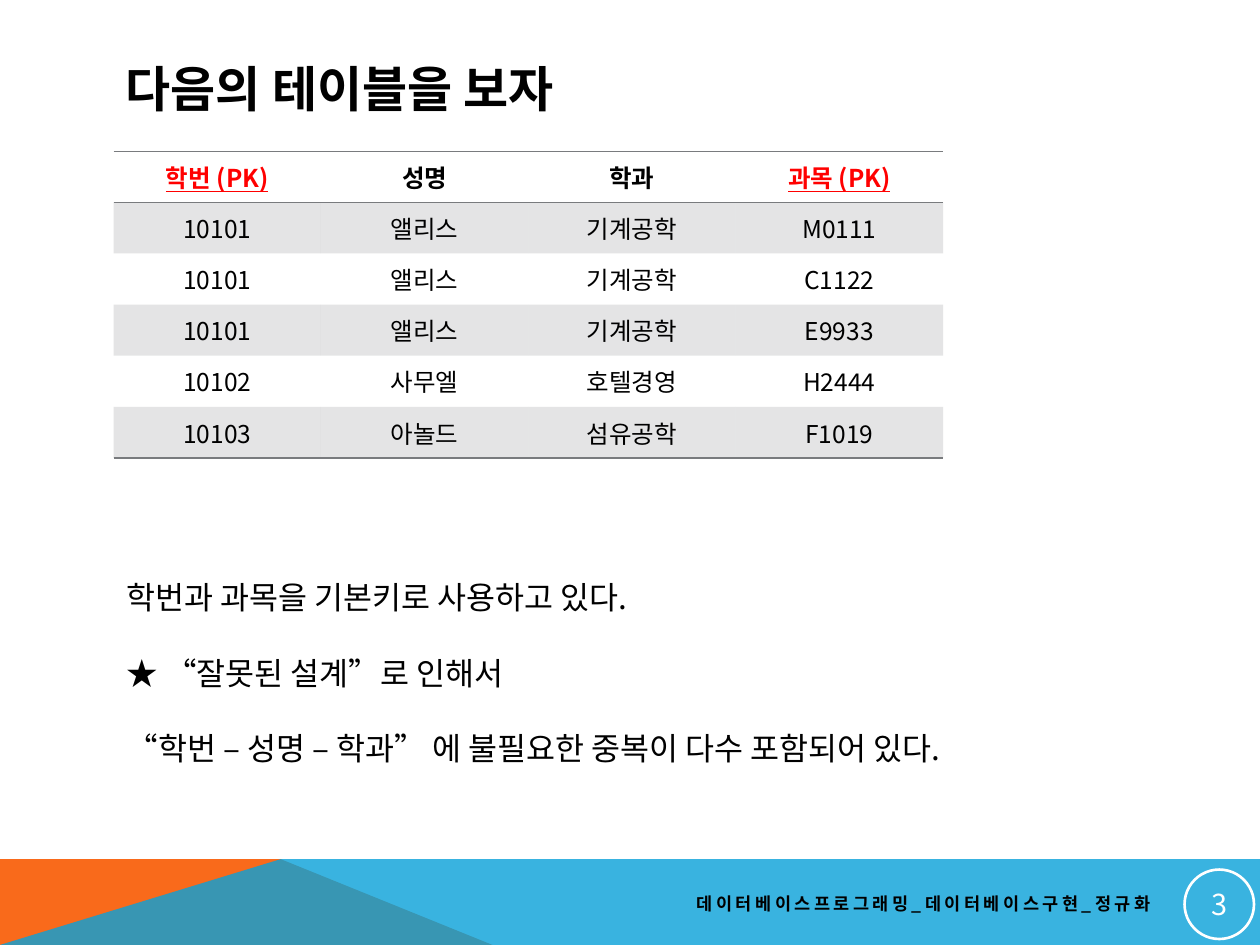
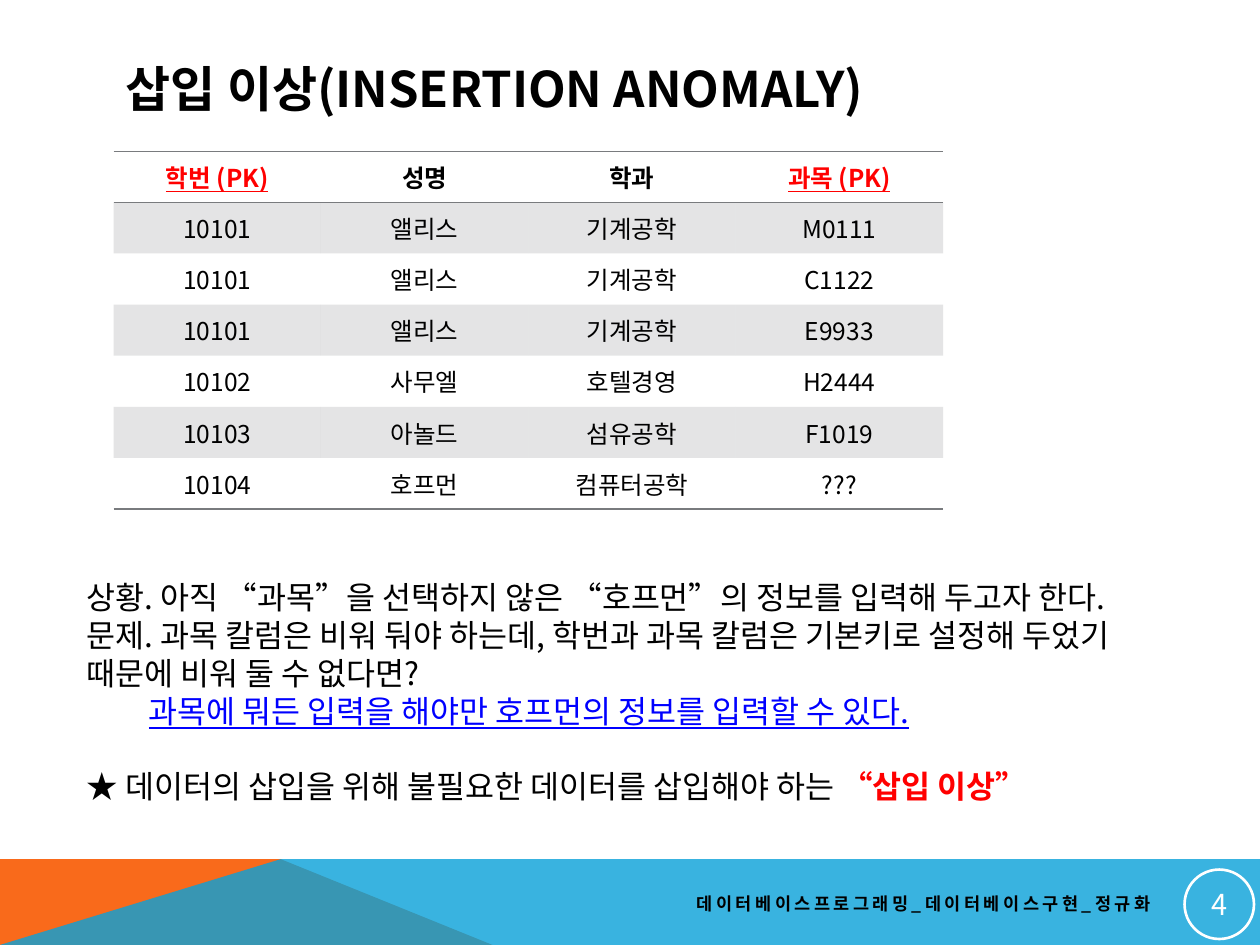
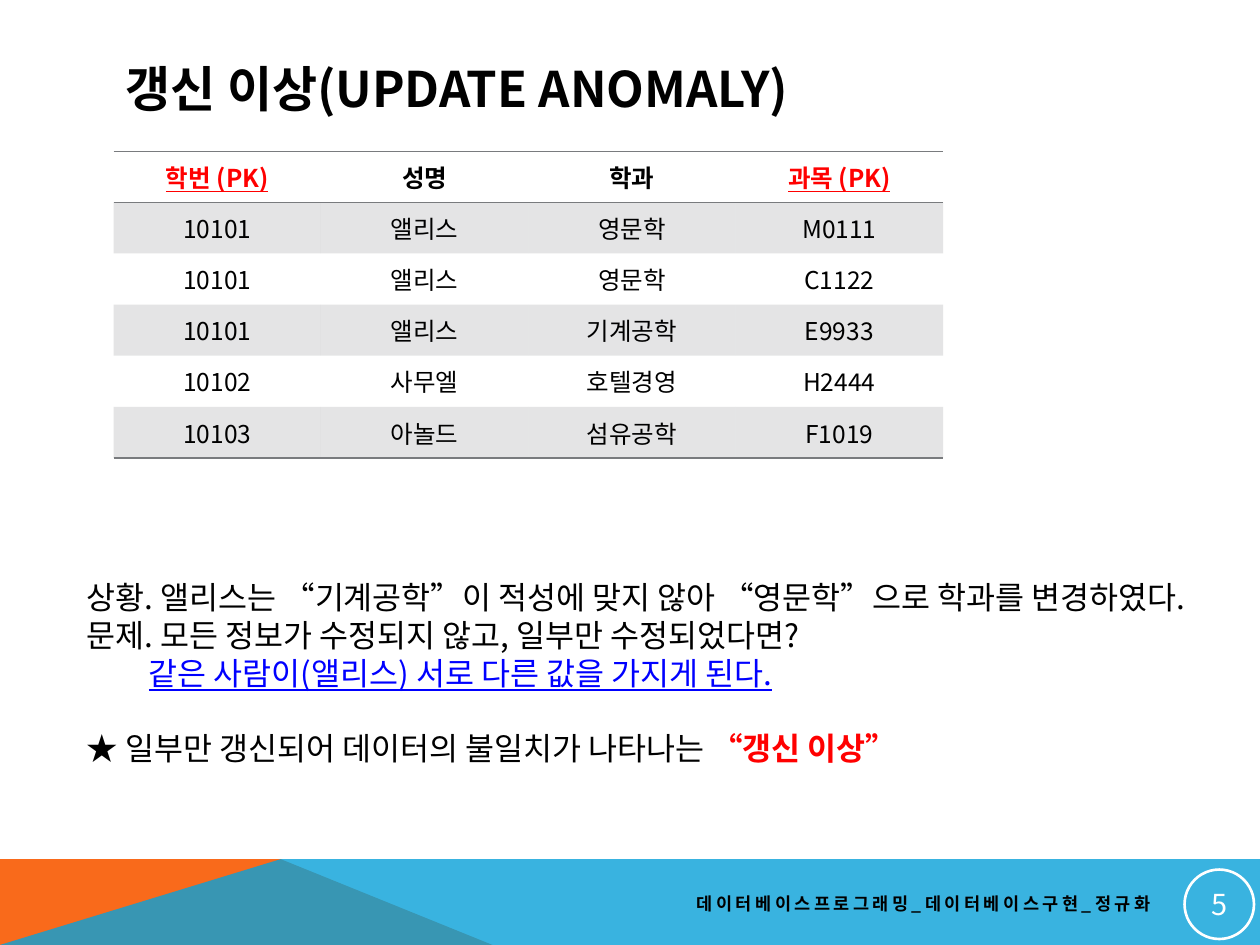
from dataclasses import dataclass
from lxml.etree import SubElement
from pptx import Presentation
from pptx.dml.color import RGBColor
from pptx.enum.shapes import MSO_SHAPE
from pptx.enum.text import MSO_ANCHOR, PP_ALIGN
from pptx.oxml import parse_xml
from pptx.oxml.ns import nsdecls, qn
from pptx.util import Cm, Pt


@dataclass(frozen=True)
class Theme:
    """Colours, font and type sizes of the deck."""
    font: str = "Noto Sans CJK KR"
    ink: str = "000000"
    red: str = "FF0000"
    blue: str = "0000FF"
    white: str = "FFFFFF"
    gray: str = "797B7E"
    orange: str = "F96A1B"
    sky: str = "08A1D9"
    title: float = 28
    body: float = 18
    cell: float = 14
    foot: float = 10
    page: float = 16.5
    pitch: float = 21.6


look = Theme()


def write(para, text, size, color=look.ink, bold=False, under=False):
    """Add one styled run to a paragraph and return its properties."""
    run = para.add_run()
    run.text = text
    font = run.font
    font.size = Pt(size)
    font.bold = bold
    font.underline = under
    font.color.rgb = RGBColor.from_string(color)
    font.name = look.font
    props = run._r.get_or_add_rPr()
    SubElement(props, qn("a:ea"), typeface=look.font)
    return props


def tint(fill, owner, color, alpha=100):
    """Fill solid; alpha is the opacity in percent."""
    fill.solid()
    fill.fore_color.rgb = RGBColor.from_string(color)
    if alpha < 100:
        tone = owner.find(qn("a:solidFill"))[0]
        SubElement(tone, qn("a:alpha"), val=str(alpha * 1000))


# Content: a line is (blank lines before, indent in cm, runs);
# a run is (text, colour, bold, underline).
plain = (look.ink, False, False)
alert = (look.red, True, False)
result = (look.blue, False, True)

head = ["학번 (PK)", "성명", "학과", "과목 (PK)"]
rows = [
    ["10101", "앨리스", "기계공학", "M0111"],
    ["10101", "앨리스", "기계공학", "C1122"],
    ["10101", "앨리스", "기계공학", "E9933"],
    ["10102", "사무엘", "호텔경영", "H2444"],
    ["10103", "아놀드", "섬유공학", "F1019"],
]
extra = ["10104", "호프먼", "컴퓨터공학", "???"]
moved = [[num, name, "영문학", code] for num, name, _, code in rows[:2]]

pages = [
    ("다음의 테이블을 보자", rows, 2.31, 18.19, [
        (0, 0, [("학번과 과목을 기본키로 사용하고 있다.", *plain)]),
        (1, 0, [("★ “잘못된 설계”로 인해서", *plain)]),
        (1, 0, [("“학번 – 성명 – 학과” 에 불필요한 중복이 다수 포함되어 있다.", *plain)]),
    ]),
    ("삽입 이상(INSERTION ANOMALY)", rows + [extra], 1.5, 23.8, [
        (0, 0, [("상황. 아직 “과목”을 선택하지 않은 “호프먼”의 정보를 입력해 두고자 한다.", *plain)]),
        (0, 0, [("문제. 과목 칼럼은 비워 둬야 하는데, 학번과 과목 칼럼은 기본키로 설정해 두었기", *plain)]),
        (0, 0, [("때문에 비워 둘 수 없다면?", *plain)]),
        (0, 1.25, [("과목에 뭐든 입력을 해야만 호프먼의 정보를 입력할 수 있다.", *result)]),
        (1, 0, [("★ 데이터의 삽입을 위해 불필요한 데이터를 삽입해야 하는 ", *plain),
                ("“삽입 이상”", *alert)]),
    ]),
    ("갱신 이상(UPDATE ANOMALY)", moved + rows[2:], 1.5, 23.8, [
        (0, 0, [("상황. 앨리스는 “기계공학”이 적성에 맞지 않아 “영문학”으로 학과를 변경하였다.", *plain)]),
        (0, 0, [("문제. 모든 정보가 수정되지 않고, 일부만 수정되었다면?", *plain)]),
        (0, 1.25, [("같은 사람이(앨리스) 서로 다른 값을 가지게 된다.", *result)]),
        (1, 0, [("★ 일부만 갱신되어 데이터의 불일치가 나타나는 ", *plain),
                ("“갱신 이상”", *alert)]),
    ]),
]

wide, high, top = 25.4, 19.05, 17.32
peak, foot = 5.66, 9.93
bands = [
    (look.orange, 100, [(0, high), (0, top), (peak, top), (foot, high)]),
    (look.sky, 80, [(0, high), (peak, top), (wide, top), (wide, high)]),
]

deck = Presentation()
deck.slide_width, deck.slide_height = Cm(wide), Cm(high)

for number, (title, data, left, width, lines) in enumerate(pages, 3):
    shapes = deck.slides.add_slide(deck.slide_layouts[6]).shapes

    # Bottom bands
    for color, alpha, points in bands:
        spots = [(Cm(x), Cm(y)) for x, y in points]
        pen = shapes.build_freeform(*spots[0])
        pen.add_line_segments(spots[1:], close=True)
        band = pen.convert_to_shape()
        band.shadow.inherit = False
        band.line.fill.background()
        tint(band.fill, band.element.spPr, color, alpha)

    # Title
    frame = shapes.add_textbox(Cm(2.29), Cm(1.02), Cm(20.88), Cm(1.52)).text_frame
    frame.word_wrap = True
    frame.vertical_anchor = MSO_ANCHOR.MIDDLE
    write(frame.paragraphs[0], title, look.title, bold=True)

    # Student table
    grid = [head] + data
    table = shapes.add_table(len(grid), len(head), Cm(2.29), Cm(3.05),
                             Cm(16.72), Cm(1.03 * len(grid))).table
    table.first_row = table.horz_banding = False
    style = table._tbl.tblPr.find(qn("a:tableStyleId"))
    style.text = "{2D5ABB26-0587-4C30-8999-92F81FD0307C}"
    for r, row in enumerate(grid):
        sides = {0: ["lnT", "lnB"], len(grid) - 1: ["lnB"]}.get(r, [])
        for c, text in enumerate(row):
            cell = table.cell(r, c)
            cell.vertical_anchor = MSO_ANCHOR.MIDDLE
            para = cell.text_frame.paragraphs[0]
            para.alignment = PP_ALIGN.CENTER
            key = r == 0 and "(PK)" in text
            write(para, text, look.cell, look.red if key else look.ink, r == 0, key)
            props = cell._tc.get_or_add_tcPr()
            if r % 2:
                tint(cell.fill, props, look.gray, 20)
            else:
                cell.fill.background()
            for spot, side in enumerate(sides):
                props.insert(spot, parse_xml(
                    f'<a:{side} {nsdecls("a")} w="{Pt(1)}"><a:solidFill>'
                    f'<a:srgbClr val="{look.gray}"/></a:solidFill></a:{side}>'))

    # Footer and page number
    frame = shapes.add_textbox(Cm(10.31), Cm(17.83), Cm(13.13), Cm(0.76)).text_frame
    frame.word_wrap = True
    frame.vertical_anchor = MSO_ANCHOR.MIDDLE
    para = frame.paragraphs[0]
    para.alignment = PP_ALIGN.RIGHT
    props = write(para, "데이터베이스프로그래밍_데이터베이스구현_정규화", look.foot, bold=True)
    props.set("spc", "200")

    ring = shapes.add_shape(MSO_SHAPE.OVAL, Cm(23.88), Cm(17.53), Cm(1.4), Cm(1.4))
    ring.shadow.inherit = False
    ring.fill.background()
    ring.line.color.rgb = RGBColor.from_string(look.white)
    ring.line.width = Pt(1.5)
    frame = ring.text_frame
    frame.margin_left = frame.margin_right = Cm(0.03)
    frame.margin_top = frame.margin_bottom = Cm(0.03)
    frame.vertical_anchor = MSO_ANCHOR.MIDDLE
    para = frame.paragraphs[0]
    para.alignment = PP_ALIGN.CENTER
    write(para, str(number), look.page, look.white)

    # Explanation
    count = sum(gap + 1 for gap, _, _ in lines)
    frame = shapes.add_textbox(Cm(left), Cm(11.53), Cm(width),
                               Cm(0.76 * count + 0.25)).text_frame
    frame.word_wrap = True
    for i, (gap, indent, runs) in enumerate(lines):
        para = frame.add_paragraph() if i else frame.paragraphs[0]
        para.line_spacing = Pt(look.pitch)
        para.space_before = Pt(look.pitch * gap)
        if indent:
            para._p.get_or_add_pPr().set("marL", str(Cm(indent)))
        for text, color, bold, under in runs:
            write(para, text, look.body, color, bold, under)

deck.save("out.pptx")
